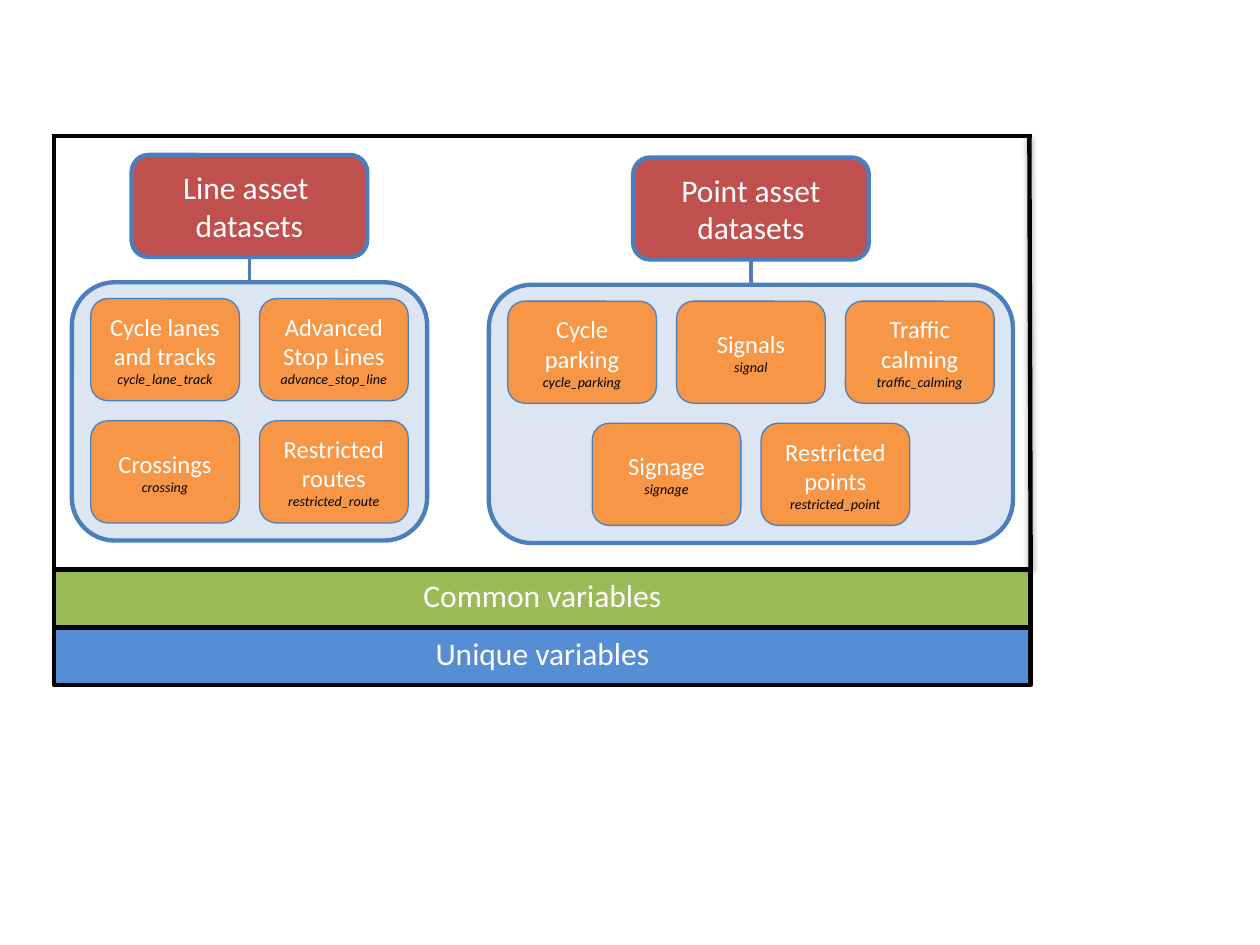
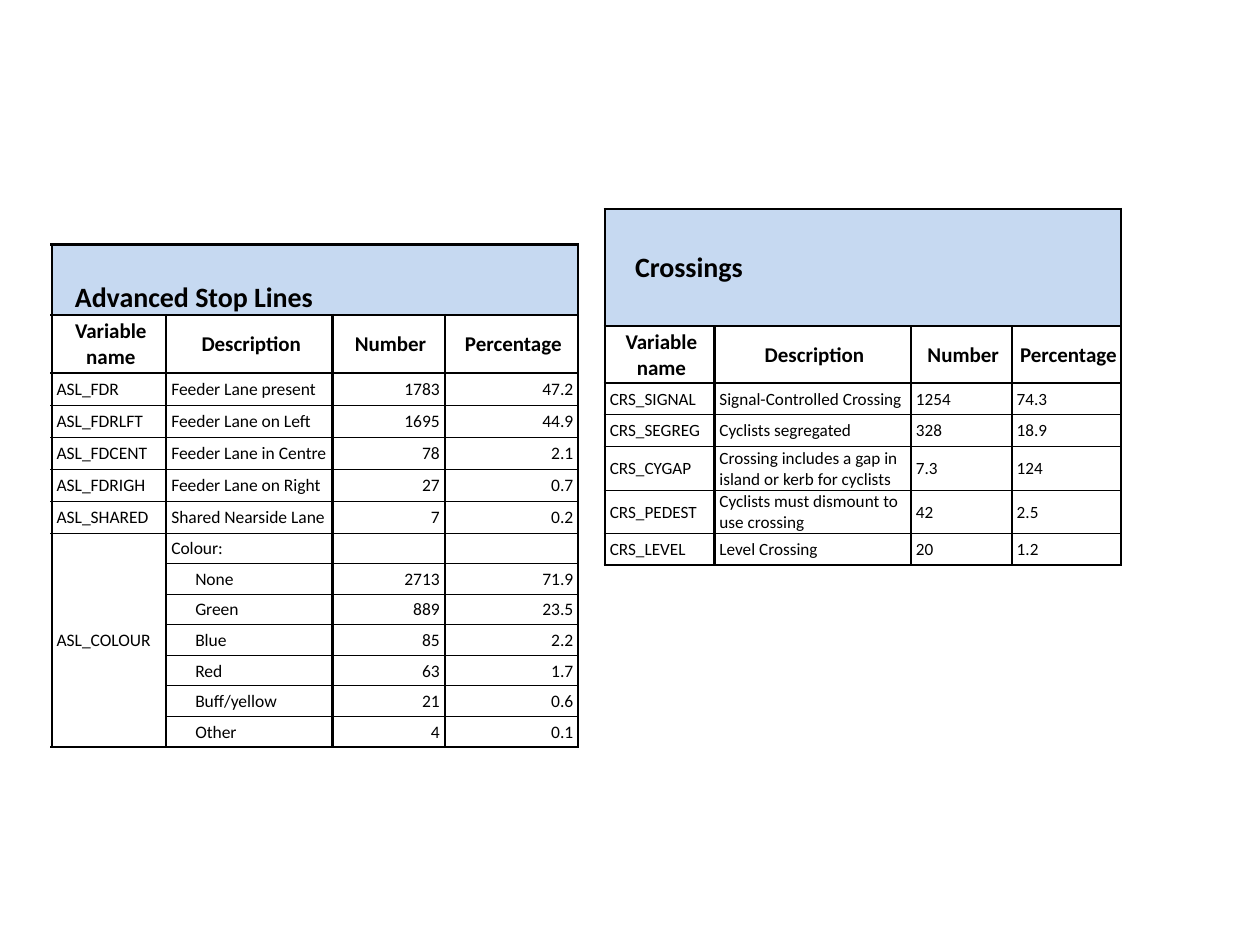
from lxml.etree import SubElement as Sub
from pptx import Presentation
from pptx.dml.color import RGBColor
from pptx.enum.shapes import MSO_CONNECTOR as Conn, MSO_SHAPE as Kind
from pptx.enum.text import MSO_ANCHOR as Anchor, PP_ALIGN as Align
from pptx.oxml.ns import qn
from pptx.util import Inches as In, Pt

BLACK, WHITE = "000000", "FFFFFF"
EDGE, LINK, SKY = "4B7EBC", "4F81BD", "C6D9F1"
THICK, THIN = 1.5, 0.5


def ink(fill, hue):
    fill.solid()
    fill.fore_color.rgb = RGBColor.from_string(hue)


def write(frame, lines, align):
    """Each line is (text, size, colour, extra font values)."""
    frame.word_wrap = True
    for i, (text, size, hue, more) in enumerate(lines):
        para = frame.add_paragraph() if i else frame.paragraphs[0]
        para.alignment = align
        if not text:
            Sub(para._p, qn("a:endParaRPr"), sz=str(int(size * 100)))
            continue
        run = para.add_run()
        run.text = text
        look = {"name": "Calibri", "size": Pt(size), **more}
        for key, val in look.items():
            setattr(run.font, key, val)
        ink(run.font.fill, hue)


deck = Presentation()
deck.slide_width, deck.slide_height = In(10), In(7.5)
blank = deck.slide_layouts[6]

# Slide 1: dataset diagram
page = deck.slides.add_slide(blank)

# Style: shape, fill, edge, edge width, anchor
looks = {
    "head": (Kind.ROUNDED_RECTANGLE, "C0504D", EDGE, 2.5, Anchor.MIDDLE),
    "panel": (Kind.ROUNDED_RECTANGLE, "DCE6F2", EDGE, 2.5, Anchor.MIDDLE),
    "tile": (Kind.ROUNDED_RECTANGLE, "F79646", EDGE, 0.75, Anchor.MIDDLE),
    "common": (Kind.RECTANGLE, "9BBB59", BLACK, 2.5, Anchor.TOP),
    "unique": (Kind.RECTANGLE, "558ED5", BLACK, 2.5, Anchor.TOP),
}

# Panel: left, top, width, heading, rows of tiles
panels = [
    (0.57, 2.24, 2.82, ["Line asset ", "datasets"], [
        [("Cycle lanes and tracks", "cycle_lane_track"),
         ("Advanced Stop Lines", "advance_stop_line")],
        [("Crossings", "crossing"),
         ("Restricted routes", "restricted_route")]]),
    (3.88, 2.26, 4.16, ["Point asset datasets"], [
        [("Cycle parking", "cycle_parking"), ("Signals", "signal"),
         ("Traffic calming", "traffic_calming")],
        [("Signage", "signage"),
         ("Restricted points", "restricted_point")]]),
]
left, base, wide, bar = 0.43, 4.52, 7.75, 0.46
tile_w, tile_h, step_x, step_y = 1.18, 0.81, 1.34, 0.97
head_w = 1.87

# Bars, then each heading, panel and its centred rows of tiles
parts = [(name, left, base + i * bar, wide, bar,
          [(f"{name.title()} variables", 18, WHITE, {})])
         for i, name in enumerate(["common", "unique"])]
for x, y, w, title, rows in panels:
    parts.append(("head", x + (w - head_w) / 2, y - 1.01, head_w, tile_h,
                  [(text, 18, WHITE, {}) for text in title]))
    parts.append(("panel", x, y, w, 2.05, []))
    for r, row in enumerate(rows):
        start = x + (w - tile_w - (len(row) - 1) * step_x) / 2
        for c, (label, code) in enumerate(row):
            parts.append(("tile", start + c * step_x, y + 0.13 + r * step_y,
                          tile_w, tile_h,
                          [(label, 14, WHITE, {}),
                           (code, 8, BLACK, {"italic": True})]))

made = {name: [] for name in looks}
for name, x, y, w, h, lines in parts:
    kind, fill, edge, width, anchor = looks[name]
    box = page.shapes.add_shape(kind, In(x), In(y), In(w), In(h))
    box.shadow.inherit = False
    ink(box.fill, fill)
    ink(box.line.fill, edge)
    box.line.width = Pt(width)
    box.text_frame.vertical_anchor = anchor
    write(box.text_frame, lines, Align.CENTER)
    made[name].append(box)

# Links and outer frame: ends, colour, width, joined shapes
right, top = left + wide, 1.08
wires = [((0, 0, 0, 0), LINK, 2, pair)
         for pair in zip(made["head"], made["panel"])]
wires += [(ends, BLACK, 2.5, None) for ends in [
    (left, base, left, top),
    (left - 0.02, top, right + 0.01, top),
    (right - 0.01, top, right, base)]]
for ends, hue, width, pair in wires:
    wire = page.shapes.add_connector(Conn.STRAIGHT, *map(In, ends))
    if pair:
        wire.begin_connect(pair[0], 2)
        wire.end_connect(pair[1], 0)
    ink(wire.line.fill, hue)
    wire.line.width = Pt(width)
    glow = Sub(wire._element.spPr, qn("a:effectLst"))

# The right edge alone casts a shadow
cast = Sub(glow, qn("a:outerShdw"), blurRad="40000", dist="20000",
           dir="5400000", rotWithShape="0")
tint = Sub(cast, qn("a:srgbClr"), val=BLACK)
Sub(tint, qn("a:alpha"), val="38000")

# Slide 2: two tables
page = deck.slides.add_slide(blank)
names = ["Variable name", "Description", "Number", "Percentage"]

stops = [
    ("ASL_FDR", "Feeder Lane present", "1783", "47.2"),
    ("ASL_FDRLFT", "Feeder Lane on Left", "1695", "44.9"),
    ("ASL_FDCENT", "Feeder Lane in Centre", "78", "2.1"),
    ("ASL_FDRIGH", "Feeder Lane on Right", "27", "0.7"),
    ("ASL_SHARED", "Shared Nearside Lane", "7", "0.2"),
    ("ASL_COLOUR", "Colour:", "", ""),
    ("", "None", "2713", "71.9"),
    ("", "Green", "889", "23.5"),
    ("", "Blue", "85", "2.2"),
    ("", "Red", "63", "1.7"),
    ("", "Buff/yellow", "21", "0.6"),
    ("", "Other", "4", "0.1"),
]
cross = [
    ("CRS_SIGNAL", "Signal-Controlled Crossing", "1254", "74.3"),
    ("CRS_SEGREG", "Cyclists segregated", "328", "18.9"),
    ("CRS_CYGAP", "Crossing includes a gap in island or kerb for cyclists",
     "7.3", "124"),
    ("CRS_PEDEST", "Cyclists must dismount to use crossing", "42", "2.5"),
    ("CRS_LEVEL", "Level Crossing", "20", "1.2"),
]

# Table: place, columns, row heights, title and its format, text size,
# number alignment, data, first row of the merged group
tables = [
    ((0.41, 1.94), [0.91, 1.32, 0.89, 1.06],
     [0.56, 0.46] + [1.27 / 5] * 5 + [1.7 / 7] * 7,
     "Advanced Stop Lines", Align.CENTER, Anchor.BOTTOM, 0.04,
     10, Align.RIGHT, stops, 7),
    ((4.8, 1.66), [0.87, 1.56, 0.8, 0.87],
     [0.93, 0.45, 0.25, 0.25, 0.35, 0.34, 0.25],
     "Crossings", Align.LEFT, Anchor.MIDDLE, 0.24,
     9.8, Align.LEFT, cross, None),
]

for (x, y), cols, highs, title, side, seat, pad, size, num, data, group in tables:
    rows = [(title, "", "", ""), names, *data]
    last = len(rows) - 1
    grid = page.shapes.add_table(len(rows), 4, In(x), In(y),
                                 In(sum(cols)), In(sum(highs))).table
    for key in ("first_row", "horz_banding"):
        setattr(grid, key, False)
    for col, w in zip(grid.columns, cols):
        col.width = In(w)
    for row, h in zip(grid.rows, highs):
        row.height = In(h)
    grid.cell(0, 0).merge(grid.cell(0, 1))
    if group:
        grid.cell(group, 0).merge(grid.cell(last, 0))

    for r, row in enumerate(rows):
        for c, text in enumerate(row):
            cell = grid.cell(r, c)
            # Text format by kind of row
            inset, align, anchor, point = 0.04, Align.LEFT, Anchor.MIDDLE, size
            if r == 0:
                inset, align, anchor, point = pad, side, seat, 16
            elif r == 1:
                align, point = Align.CENTER, 12
            elif c > 1:
                align = num
            elif group and c == 1 and r > group:
                inset = 0.23
            form = {"margin_left": In(inset), "margin_top": In(0.01),
                    "margin_right": In(0.04 if align == Align.RIGHT else 0.01),
                    "margin_bottom": 0, "vertical_anchor": anchor}
            for key, val in form.items():
                setattr(cell, key, val)
            write(cell.text_frame,
                  [(text, point if text else 8, BLACK, {"bold": r < 2})], align)

            # Borders: thick columns and header, thin lines between data rows
            end = r + cell.span_height - 1 if cell.is_merge_origin else r
            inner = bool(group and c == 0 and r > group)
            rims = {"lnL": THICK if r or c == 0 else 0,
                    "lnR": THICK if r or c == 3 else 0,
                    "lnT": 0 if inner else THICK if r < 3 else THIN,
                    "lnB": THICK if r < 2 or end == last else
                    0 if inner else THIN}
            props = cell._tc.get_or_add_tcPr()
            for tag, w in rims.items():
                rim = Sub(props, qn(f"a:{tag}"), w=str(int(w * 12700)))
                paint = Sub(rim, qn("a:solidFill" if w else "a:noFill"))
                if w:
                    Sub(paint, qn("a:srgbClr"), val=BLACK)
            ink(cell.fill, WHITE if r else SKY)

deck.save("out.pptx")
